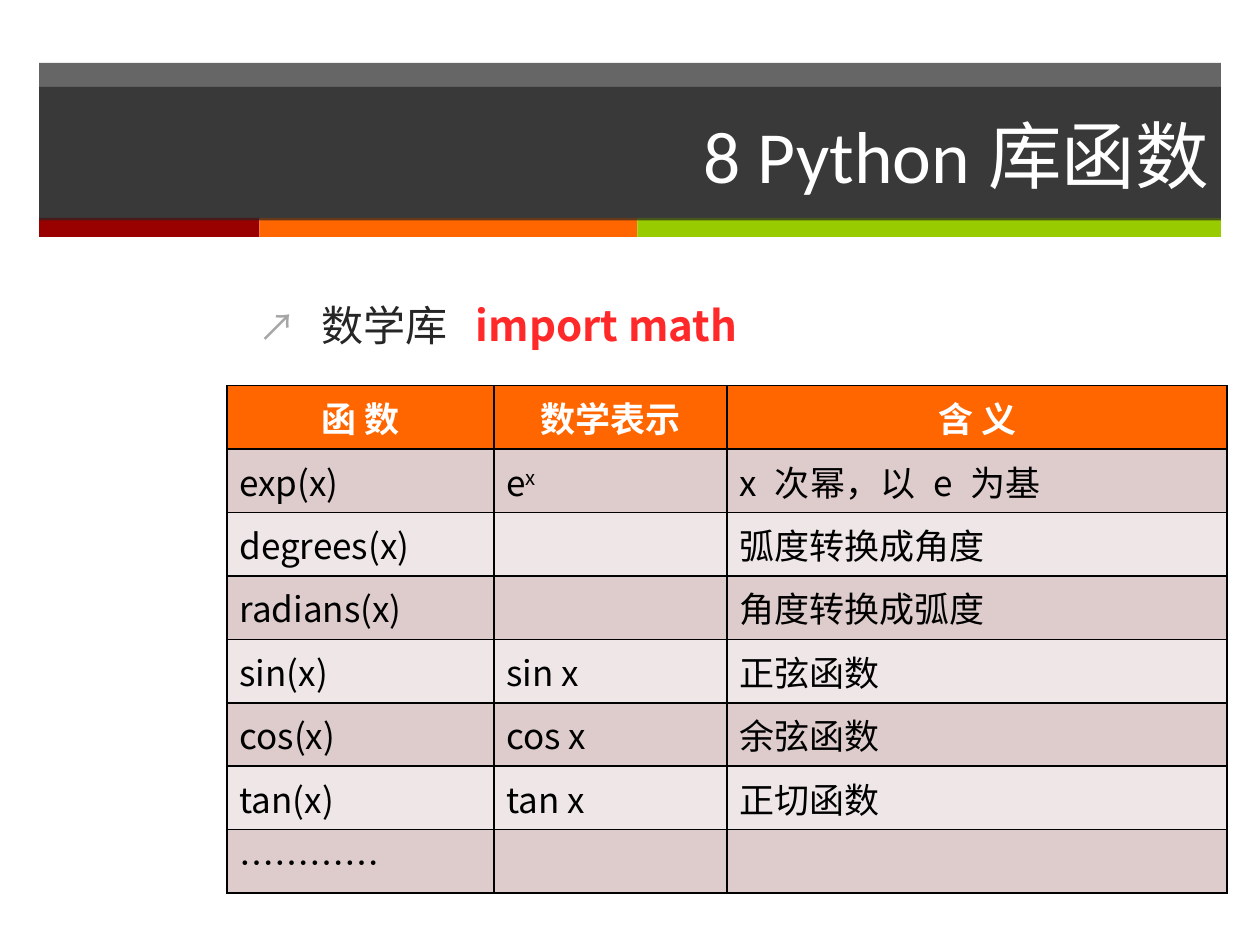
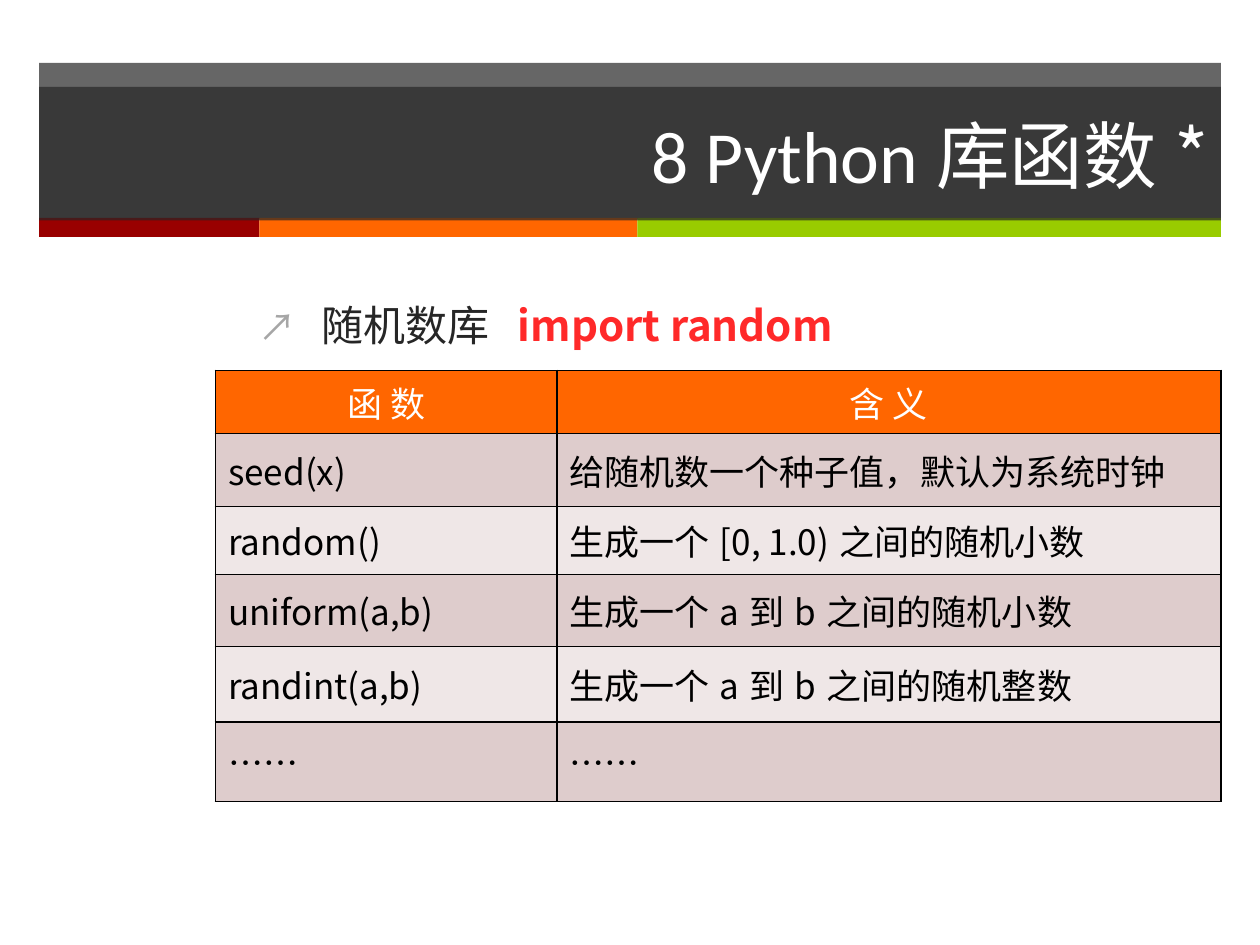
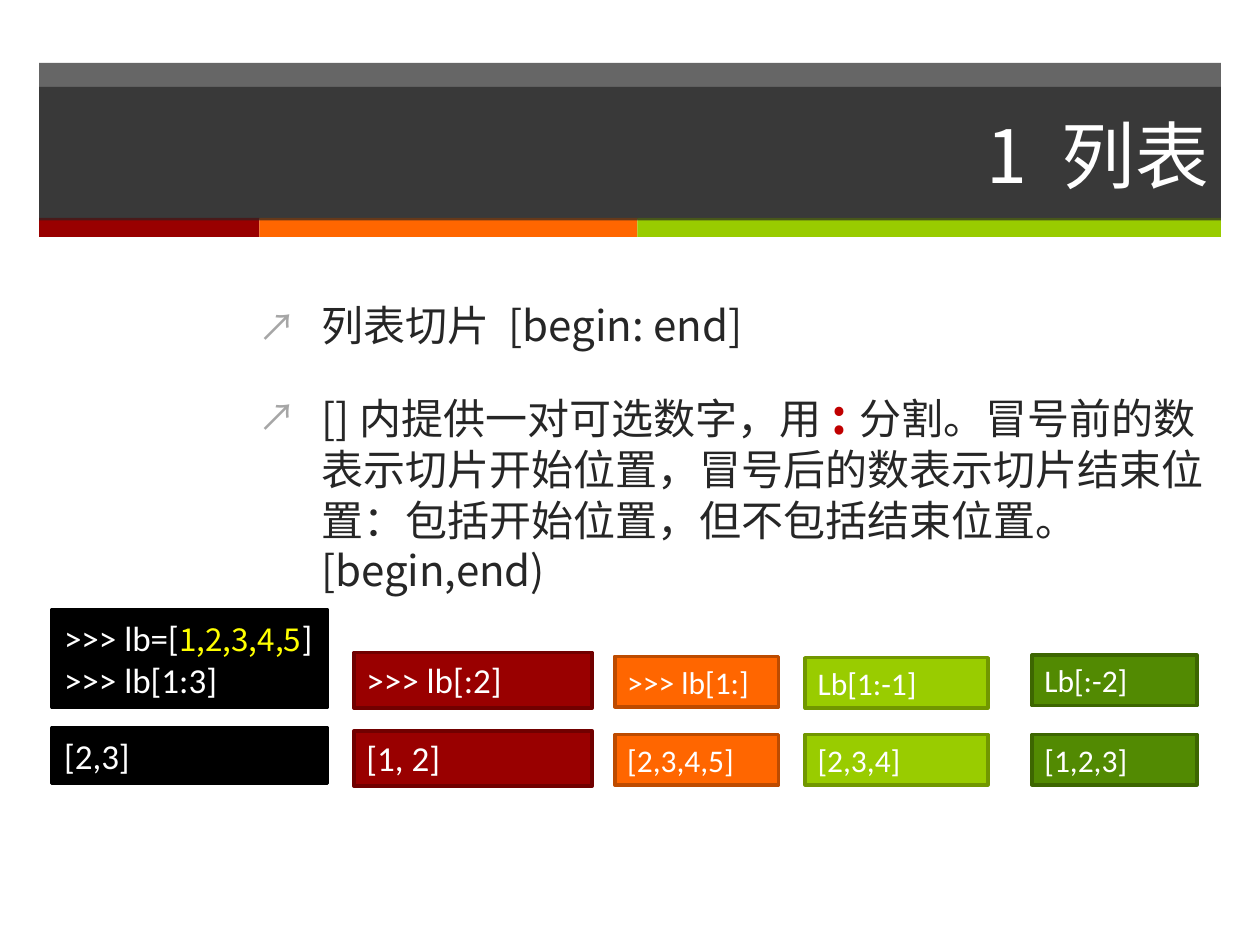
"""Build three Python lesson slides: math library, random library and list slicing."""
from lxml.etree import SubElement
from pptx import Presentation
from pptx.dml.color import RGBColor
from pptx.enum.shapes import MSO_SHAPE as Shape
from pptx.enum.text import MSO_ANCHOR as Anchor, MSO_AUTO_SIZE as AutoSize, PP_ALIGN as Align
from pptx.oxml.ns import qn
from pptx.util import Inches, Pt

CJK, LATIN = "Noto Sans CJK SC", "Calibri"
WHITE, BLACK, INK, GREY = "FFFFFF", "000000", "262626", "A6A6A6"
DARK_RED, ORANGE, LIME, GREEN = "990000", "FF6600", "99CC00", "528A02"
ROW_FILLS = ("DECCCC", "EFE7E7")
LEFT, WIDTH = 0.31, 9.38
STRIPES = [(1.75, DARK_RED), (3, ORANGE), (4.63, LIME)]

TITLE = {"size": Pt(42), "name": LATIN, "color": WHITE}
TITLE_CJK = {**TITLE, "name": CJK}
BODY = {"size": Pt(24), "name": CJK, "color": INK}
IMPORT = {**BODY, "color": "FF2929", "bold": True}
COLON = {**BODY, "size": Pt(28), "color": "C00000", "bold": True}
CELL = {"size": Pt(20), "name": CJK, "color": BLACK}
HEADER = {**CELL, "color": WHITE}
POWER = {**CELL, "baseline": "30000"}
CODE = {"size": Pt(20), "name": LATIN, "color": WHITE}
SMALL_CODE = {**CODE, "size": Pt(18)}
VALUES = {"size": Pt(18), "name": CJK, "color": "FFFF00"}

LIBRARIES = [
    {
        "title": [("8 Python库函数", TITLE)],
        "body": [[("数学库  ", BODY), ("import math", IMPORT)]],
        "at": (1.8, 3.06),
        "columns": [2.12, 1.85, 3.97],
        "rows": [4.03 / 8] * 8,
        "header": {**HEADER, "bold": True},
        "header_anchor": Anchor.MIDDLE,
        "cells": [
            ["函 数", "数学表示", "含 义"],
            ["exp(x)", [("e", CELL), ("x", POWER)], "x 次幂，以 e 为基"],
            ["degrees(x)", "", "弧度转换成角度"],
            ["radians(x)", "", "角度转换成弧度"],
            ["sin(x)", "sin x", "正弦函数"],
            ["cos(x)", "cos x", "余弦函数"],
            ["tan(x)", "tan x", "正切函数"],
            ["…………", "", ""],
        ],
    },
    {
        "title": [("8 Python库函数", TITLE), ("*", TITLE_CJK)],
        "body": [[("随机数库  ", BODY), ("import random", IMPORT)]],
        "at": (1.71, 2.94),
        "columns": [2.71, 5.27],
        "rows": [0.5, 0.58, 0.54, 0.57, 0.6, 0.63],
        "header": HEADER,
        "header_anchor": Anchor.TOP,
        "cells": [
            ["函 数", "含 义"],
            ["seed(x)", "给随机数一个种子值，默认为系统时钟"],
            ["random()", "生成一个[0, 1.0)之间的随机小数"],
            ["uniform(a,b)", "生成一个a到b之间的随机小数"],
            ["randint(a,b)", "生成一个a到b之间的随机整数"],
            ["……", "……"],
        ],
    },
]

SLICING_TITLE = [("1 列表", TITLE_CJK)]
SLICING_BODY = [
    [("列表切片 [begin: end]", BODY)],
    [
        ("[]内提供一对可选数字，用", BODY),
        (":", COLON),
        ("分割。冒号前的数表示切片开始位置，冒号后的数表示切片结束位置："
         "包括开始位置，但不包括结束位置。[begin,end)", BODY),
    ],
]
LIST_LINES = [
    [(">>> lb=[", CODE), ("1,2,3,4,5", VALUES), ("]", CODE)],
    [(">>> lb[1:3]", CODE)],
]
SLICES = [
    (0.41, 2.19, BLACK, BLACK, (4.84, 0.77, LIST_LINES), (5.78, 0.44, [[("[2,3]", CODE)]])),
    (2.81, 1.89, DARK_RED, "710000",
     (5.18, 0.44, [[(">>> lb[:2]", CODE)]]), (5.8, 0.44, [[("[1, 2]", CODE)]])),
    (4.88, 1.3, ORANGE, "BD4B00",
     (5.21, 0.4, [[(">>> lb[1:]", SMALL_CODE)]]), (5.83, 0.4, [[("[2,3,4,5]", SMALL_CODE)]])),
    (6.39, 1.45, LIME, "719700",
     (5.22, 0.4, [[("Lb[1:-1]", SMALL_CODE)]]), (5.83, 0.4, [[("[2,3,4]", SMALL_CODE)]])),
    (8.19, 1.31, GREEN, "3D6601",
     (5.2, 0.4, [[("Lb[:-2]", SMALL_CODE)]]), (5.83, 0.4, [[("[1,2,3]", SMALL_CODE)]])),
]


def paint(target, color):
    target.solid()
    target.fore_color.rgb = RGBColor.from_string(color)


def add_runs(paragraph, runs):
    for text, formats in runs:
        run = paragraph.add_run()
        run.text = text
        for name, value in formats.items():
            if name == "color":
                paint(run.font.fill, value)
            elif name == "baseline":
                run.font._element.set(name, value)
            else:
                setattr(run.font, name, value)
        SubElement(run.font._element, qn("a:ea"), typeface=CJK)


def add_paragraphs(frame, lines, alignment=Align.LEFT):
    paragraphs = []
    for index, runs in enumerate(lines):
        paragraph = frame.add_paragraph() if index else frame.paragraphs[0]
        paragraph.alignment = alignment
        add_runs(paragraph, runs)
        paragraphs.append(paragraph)
    return paragraphs


def add_box(slide, place, fill, line=None, opacity=None):
    shape = slide.shapes.add_shape(Shape.RECTANGLE, *map(Inches, place))
    shape.shadow.inherit = False
    paint(shape.fill, fill)
    if opacity:
        color = shape.fill._xPr.find(".//" + qn("a:srgbClr"))
        SubElement(color, qn("a:alpha"), val=str(opacity * 1000))
    if line:
        paint(shape.line.fill, line)
        shape.line.width = Pt(2)
    else:
        shape.line.fill.background()
    return shape


def add_bullet(paragraph):
    properties = paragraph._p.get_or_add_pPr()
    properties.set("marL", str(Inches(0.5)))
    properties.set("indent", str(-Inches(0.5)))
    color = SubElement(properties, qn("a:buClr"))
    SubElement(color, qn("a:srgbClr"), val=GREY)
    SubElement(properties, qn("a:buSzPct"), val="90000")
    SubElement(properties, qn("a:buFont"), typeface=CJK)
    SubElement(properties, qn("a:buChar"), char="↗")


def add_lesson_slide(presentation, title, body):
    slide = presentation.slides.add_slide(presentation.slide_layouts[6])
    add_box(slide, (LEFT, 0.5, WIDTH, 1.24), INK, opacity=70)
    left = LEFT
    for width, color in STRIPES:
        add_box(slide, (left, 1.73, width, 0.15), color)
        left += width
    frame = add_box(slide, (LEFT, 0.69, WIDTH, 1.06), INK, opacity=70).text_frame
    frame.word_wrap = True
    frame.vertical_anchor = Anchor.MIDDLE
    add_paragraphs(frame, [title], Align.RIGHT)

    frame = slide.shapes.add_textbox(*map(Inches, (1.95, 2.33, 7.74, 2.27))).text_frame
    frame.word_wrap = True
    for paragraph in add_paragraphs(frame, body):
        paragraph.space_before = Pt(20)
        add_bullet(paragraph)
    return slide


def add_borders(cell):
    properties = cell._tc.get_or_add_tcPr()
    for index, side in enumerate(("lnL", "lnR", "lnT", "lnB")):
        line = properties.makeelement(qn("a:" + side), {"w": str(Pt(1))})
        properties.insert(index, line)
        fill = SubElement(line, qn("a:solidFill"))
        SubElement(fill, qn("a:srgbClr"), val=BLACK)


def add_function_table(slide, library):
    columns, rows = library["columns"], library["rows"]
    place = (*library["at"], sum(columns), sum(rows))
    table = slide.shapes.add_table(len(rows), len(columns), *map(Inches, place)).table
    for column, width in zip(table.columns, columns):
        column.width = Inches(width)
    for row_index, (row, height) in enumerate(zip(table.rows, rows)):
        row.height = Inches(height)
        is_header = row_index == 0
        formats = library["header"] if is_header else CELL
        for cell, content in zip(row.cells, library["cells"][row_index]):
            paint(cell.fill, ORANGE if is_header else ROW_FILLS[(row_index - 1) % 2])
            add_borders(cell)
            cell.vertical_anchor = library["header_anchor"] if is_header else Anchor.MIDDLE
            if content:
                runs = [(content, formats)] if isinstance(content, str) else content
                add_paragraphs(cell.text_frame, [runs], Align.CENTER if is_header else Align.LEFT)


def add_slices(slide):
    for left, width, fill, line, *boxes in SLICES:
        for top, height, lines in boxes:
            frame = add_box(slide, (left, top, width, height), fill, line).text_frame
            frame.word_wrap = True
            frame.auto_size = AutoSize.SHAPE_TO_FIT_TEXT
            frame.vertical_anchor = Anchor.TOP
            add_paragraphs(frame, lines)


def main():
    presentation = Presentation()
    presentation.slide_width, presentation.slide_height = Inches(10), Inches(7.5)
    for library in LIBRARIES:
        slide = add_lesson_slide(presentation, library["title"], library["body"])
        add_function_table(slide, library)
    add_slices(add_lesson_slide(presentation, SLICING_TITLE, SLICING_BODY))
    presentation.save("out.pptx")


if __name__ == "__main__":
    main()
